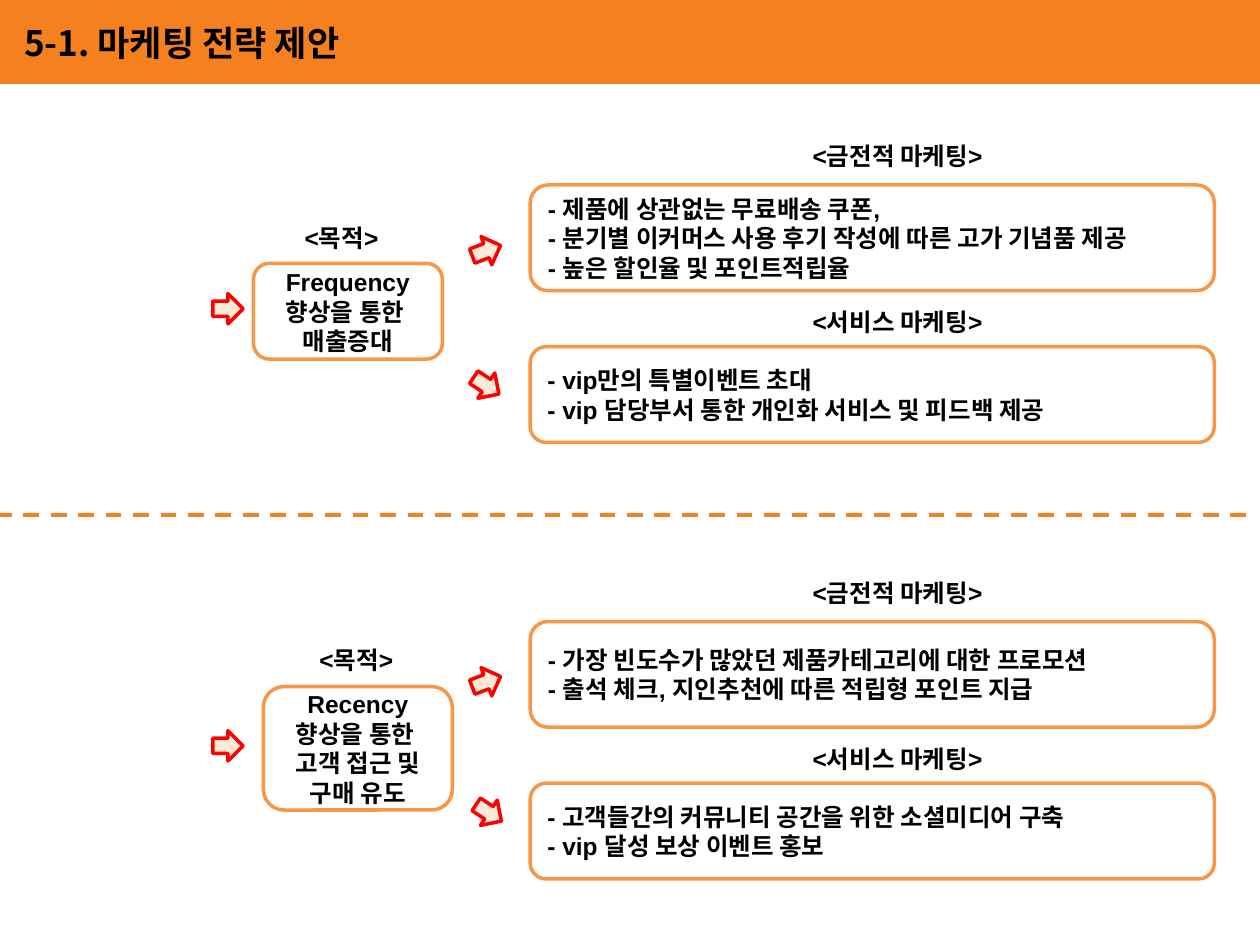
from lxml import etree
from pptx import Presentation
from pptx.dml.color import RGBColor
from pptx.enum import dml, shapes, text
from pptx.oxml import ns
from pptx.util import Cm, Pt

TITLE = "5-1. 마케팅 전략 제안"
SECTIONS = [
    {
        "purpose": ["Frequency", "향상을 통한 ", "매출증대"],
        "purpose_box": (5.11, 5.31, 3.81, 1.93),
        "purpose_label": (5.69, 4.37),
        "arrows": [(4.29, 5.92, 0), (9.5, 4.75, 339.2), (9.5, 7.47, 33.7)],
        "money": [
            "- 제품에 상관없는 무료배송 쿠폰,",
            "- 분기별 이커머스 사용 후기 작성에 따른 고가 기념품 제공",
            "- 높은 할인율 및 포인트적립율",
        ],
        "service": [
            "- vip만의 특별이벤트 초대",
            "- vip 담당부서 통한 개인화 서비스 및 피드백 제공",
        ],
    },
    {
        "purpose": ["Recency", "향상을 통한 ", "고객 접근 및", "구매 유도"],
        "purpose_box": (5.31, 13.84, 3.81, 2.49),
        "purpose_label": (5.99, 12.88),
        "arrows": [(4.29, 14.73, 0), (9.5, 13.44, 339.2), (9.55, 16.08, 33.7)],
        "money": [
            "- 가장 빈도수가 많았던 제품카테고리에 대한 프로모션",
            "- 출석 체크, 지인추천에 따른 적립형 포인트 지급",
        ],
        "service": [
            "- 고객들간의 커뮤니티 공간을 위한 소셜미디어 구축",
            "- vip 달성 보상 이벤트 홍보",
        ],
    },
]
MARKETING = [
    ("money", "<금전적 마케팅>", 2.72, 3.73, 2.13),
    ("service", "<서비스 마케팅>", 6.07, 6.99, 1.93),
]
SECTION_STEP = 8.8
WIDTH, HEIGHT = 25.4, 19.05
HEADER = 1.73
COLORS = {
    "orange": "F5801F", "outline": "F79646", "white": "FFFFFF",
    "black": "000000", "red": "FF0000", "cream": "FDE9D8",
}
KOREAN = "Noto Sans CJK KR"
BODY_FONT = {"size": Pt(14), "name": "Arial", "bold": True}
TITLE_FONT = {"size": Pt(20), "name": KOREAN, "bold": True}
BOX_FRAME = {"word_wrap": True, "vertical_anchor": text.MSO_ANCHOR.MIDDLE}
LABEL_FRAME = {
    "word_wrap": False,
    "vertical_anchor": text.MSO_ANCHOR.TOP,
    "auto_size": text.MSO_AUTO_SIZE.SHAPE_TO_FIT_TEXT,
}
LEFT, CENTER = text.PP_ALIGN.LEFT, text.PP_ALIGN.CENTER


def color(name):
    return RGBColor.from_string(COLORS[name])


def apply(target, values):
    for name, value in values.items():
        setattr(target, name, value)


def write(shape, lines, alignment, frame_values, font_values):
    frame = shape.text_frame
    apply(frame, frame_values)
    frame.text = "\n".join(lines)
    for paragraph in frame.paragraphs:
        paragraph.alignment = alignment
        for run in paragraph.runs:
            apply(run.font, font_values)
            run.font.color.rgb = color("black")
            east_asian = etree.SubElement(run.font._element, ns.qn("a:ea"))
            east_asian.set("typeface", KOREAN)


def add_shape(slide, kind, bounds, line, fill=None):
    shape = slide.shapes.add_shape(kind, *map(Cm, bounds))
    shape.shadow.inherit = False
    if fill:
        shape.fill.solid()
        shape.fill.fore_color.rgb = color(fill)
    else:
        shape.fill.background()
    shape.line.color.rgb = color(line)
    shape.line.width = Pt(2)
    return shape


def add_box(slide, bounds, lines, alignment):
    box = add_shape(slide, shapes.MSO_SHAPE.ROUNDED_RECTANGLE, bounds, "outline")
    write(box, lines, alignment, BOX_FRAME, BODY_FONT)


def add_label(slide, bounds, label):
    box = slide.shapes.add_textbox(*map(Cm, bounds))
    write(box, [label], CENTER, LABEL_FRAME, BODY_FONT)


def add_divider(slide):
    ends = map(Cm, (-0.08, 10.39, 25.32, 10.39))
    divider = slide.shapes.add_connector(shapes.MSO_CONNECTOR.STRAIGHT, *ends)
    divider.line.color.rgb = color("orange")
    divider.line.width = Pt(2.25)
    divider.line.dash_style = dml.MSO_LINE.DASH
    etree.SubElement(divider._element.spPr, ns.qn("a:effectLst"))


def add_section(slide, section, offset):
    add_box(slide, section["purpose_box"], section["purpose"], CENTER)
    add_label(slide, (*section["purpose_label"], 2.39, 0.86), "<목적>")
    for key, label, label_top, box_top, height in MARKETING:
        add_box(slide, (10.69, box_top + offset, 13.79, height), section[key], LEFT)
        add_label(slide, (15.49, label_top + offset, 5.21, 0.86), label)
    for left, top, rotation in section["arrows"]:
        bounds = (left, top, 0.61, 0.61)
        arrow = add_shape(slide, shapes.MSO_SHAPE.RIGHT_ARROW, bounds, "red", "cream")
        arrow.rotation = rotation


def main():
    presentation = Presentation()
    apply(presentation, {"slide_width": Cm(WIDTH), "slide_height": Cm(HEIGHT)})
    slide = presentation.slides.add_slide(presentation.slide_layouts[5])
    slide.background.fill.solid()
    slide.background.fill.fore_color.rgb = color("orange")
    body = (0, HEADER, WIDTH, HEIGHT - HEADER)
    add_shape(slide, shapes.MSO_SHAPE.RECTANGLE, body, "white", "white")

    title = slide.shapes.title
    apply(title, {"left": Cm(0.23), "top": Cm(0.3), "width": Cm(12.42), "height": Cm(1.12)})
    write(title, [TITLE], LEFT, LABEL_FRAME, TITLE_FONT)

    add_divider(slide)
    for index, section in enumerate(SECTIONS):
        add_section(slide, section, index * SECTION_STEP)
    presentation.save("out.pptx")


if __name__ == "__main__":
    main()
